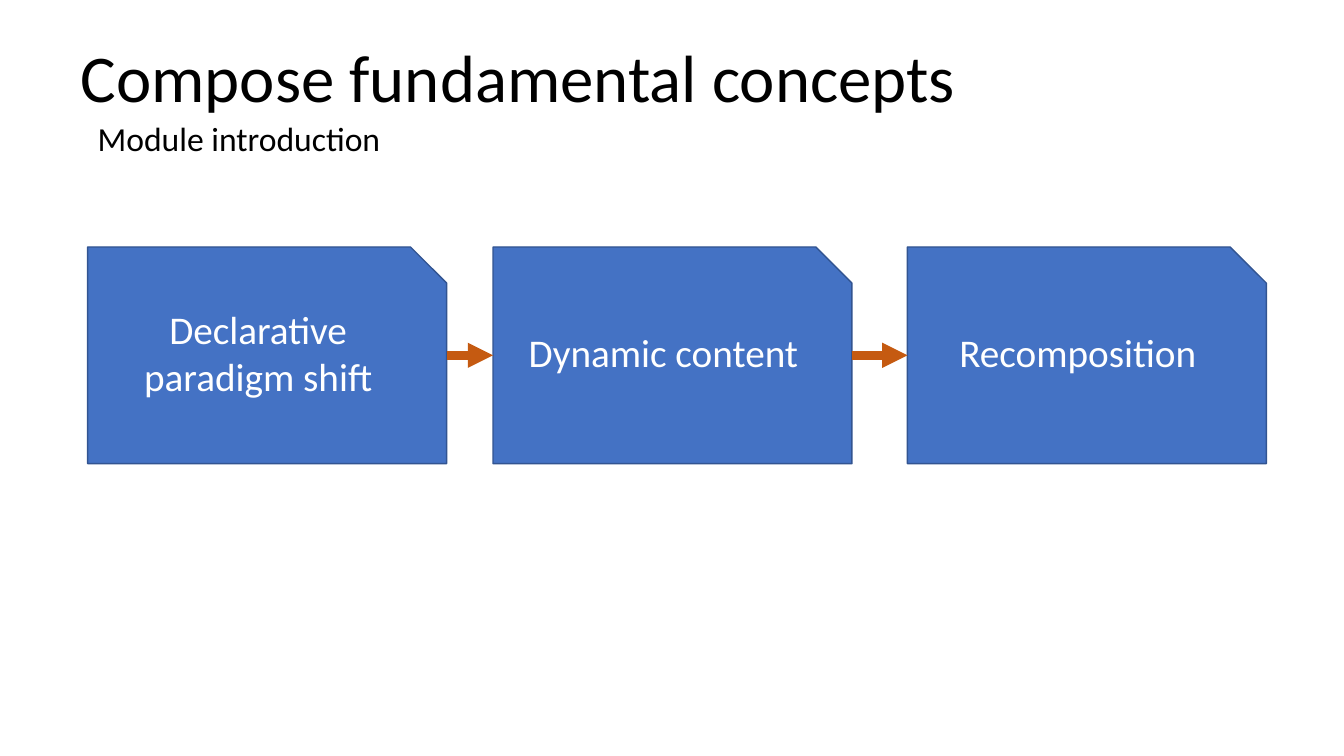
import pptx
import pptx.util
import pptx.dml.color
import pptx.enum.shapes
import pptx.enum.text
import pptx.oxml.ns
from lxml import etree

Inches, Pt = pptx.util.Inches, pptx.util.Pt
Anchor = pptx.enum.text.MSO_ANCHOR

TITLE = "Compose fundamental concepts"
SUBTITLE = "Module introduction"
STEPS = [  # text, left edge
    ("Declarative paradigm shift", 0.87),
    ("Dynamic content", 4.89),
    ("Recomposition", 9.0),
]
STEP_TOP, STEP_WIDTH, STEP_HEIGHT = 2.45, 3.56, 2.15
FONT = "Calibri"
COLORS = {"text": "000000", "step": "4472C4", "outline": "325491",
          "step_text": "FFFFFF", "arrow": "C55A11"}


def color(name):
    return pptx.dml.color.RGBColor.from_string(COLORS[name])


def set_text(shape, text, size, color_name, anchor):
    frame = shape.text_frame
    frame.word_wrap = True
    frame.vertical_anchor = anchor
    frame.text = text
    para = frame.paragraphs[0]
    font = para.runs[0].font
    font.name, font.size = FONT, Pt(size)
    font.color.rgb = color(color_name)
    return para


def add_heading(slide, text, area, size, anchor):
    box = slide.shapes.add_textbox(*map(Inches, area))
    return set_text(box, text, size, "text", anchor)


def add_step(slide, text, left):
    step = slide.shapes.add_shape(
        pptx.enum.shapes.MSO_SHAPE.SNIP_1_RECTANGLE,
        *map(Inches, (left, STEP_TOP, STEP_WIDTH, STEP_HEIGHT)))
    step.shadow.inherit = False
    step.fill.solid()
    step.fill.fore_color.rgb = color("step")
    step.line.color.rgb = color("outline")
    step.line.width = Pt(1)
    para = set_text(step, text, 28, "step_text", Anchor.MIDDLE)
    para.alignment = pptx.enum.text.PP_ALIGN.CENTER
    # Balances the lowered text area of the snipped shape
    step.text_frame.margin_bottom = Inches(0.29)


def add_arrow(slide, start, end):
    middle = Inches(STEP_TOP + STEP_HEIGHT / 2)
    arrow = slide.shapes.add_connector(
        pptx.enum.shapes.MSO_CONNECTOR.STRAIGHT,
        Inches(start), middle, Inches(end), middle)
    arrow.line.color.rgb = color("arrow")
    arrow.line.width = Pt(6)
    qn = pptx.oxml.ns.qn
    etree.SubElement(arrow.line._get_or_add_ln(), qn("a:tailEnd"), type="triangle")
    etree.SubElement(arrow._element.spPr, qn("a:effectLst"))


def main():
    deck = pptx.Presentation()
    deck.slide_width, deck.slide_height = Inches(13.33), Inches(7.5)
    slide = deck.slides.add_slide(deck.slide_layouts[6])

    title = add_heading(slide, TITLE, (0.7, 0.61, 11.54, 0.6), 47.7, Anchor.BOTTOM)
    title.line_spacing = 0.9
    add_heading(slide, SUBTITLE, (0.87, 1.12, 8.74, 0.5), 24, Anchor.TOP)

    for text, left in STEPS:
        add_step(slide, text, left)
    for (_, left), (_, next_left) in zip(STEPS, STEPS[1:]):
        add_arrow(slide, left + STEP_WIDTH, next_left)

    deck.save("out.pptx")


if __name__ == "__main__":
    main()
